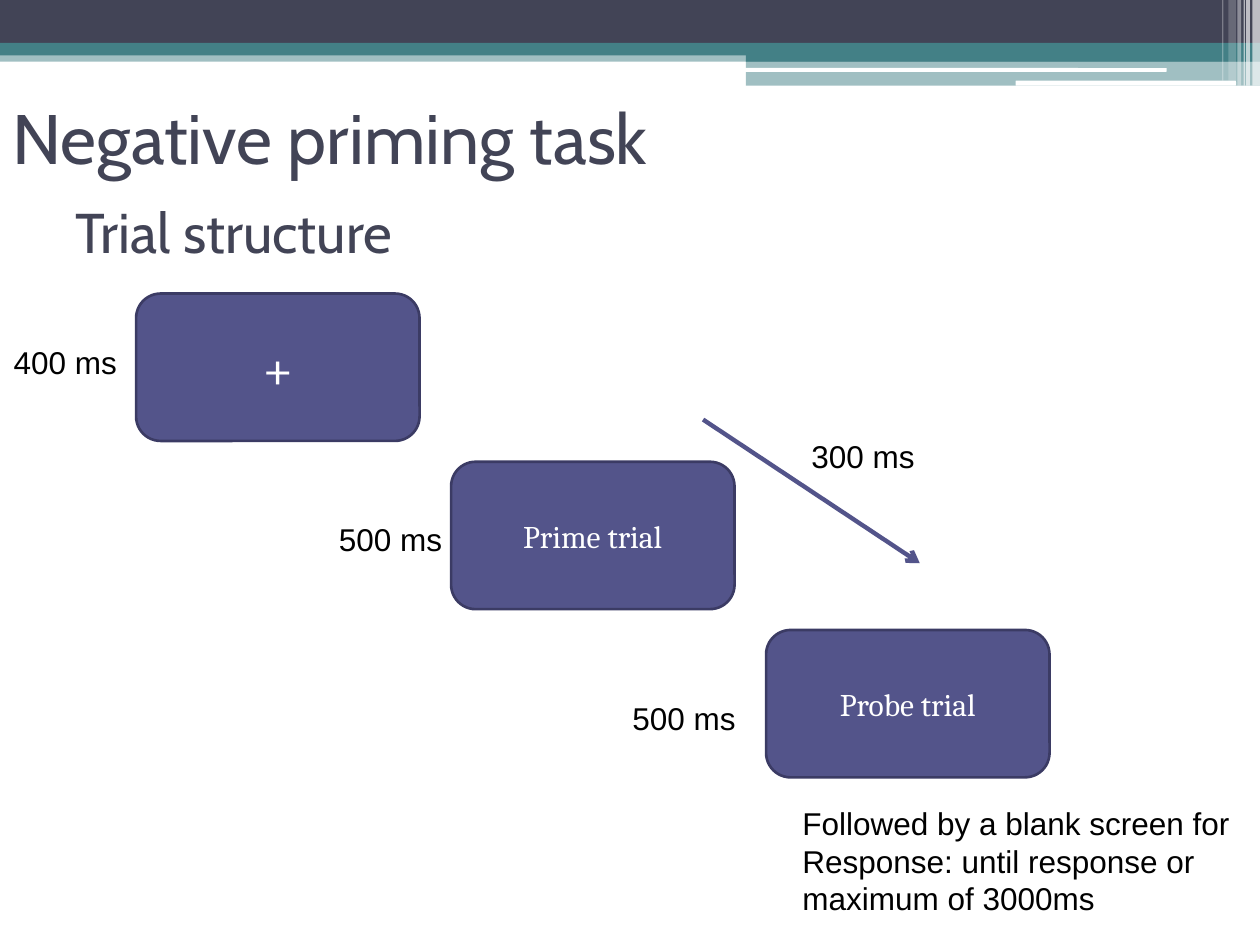
from lxml import etree
from pptx import Presentation
from pptx.dml.color import RGBColor
from pptx.enum.shapes import MSO_CONNECTOR as Connector, MSO_SHAPE as Shape
from pptx.enum.text import MSO_ANCHOR as Anchor, MSO_AUTO_SIZE as AutoSize, PP_ALIGN as Align
from pptx.oxml.ns import qn
from pptx.util import Inches, Pt

NAVY, TEAL, WHITE = "424456", "438086", "FFFFFF"
PURPLE, OUTLINE = "53548A", "3B3B64"


def write(box, text, font="Arial", size=18, color="000000", align=Align.LEFT,
          anchor=Anchor.TOP, wrap=False):
    frame = box.text_frame
    frame.text = text
    frame.word_wrap = wrap
    frame.auto_size = AutoSize.NONE if wrap else AutoSize.SHAPE_TO_FIT_TEXT
    frame.vertical_anchor = anchor
    frame.margin_left = frame.margin_right = Inches(0.1)
    frame.margin_top = frame.margin_bottom = Inches(0.05)
    for para in frame.paragraphs:
        para.alignment = align
        para.font.name = font
        para.font.size = Pt(size)
        para.font.color.rgb = RGBColor.from_string(color)


def add_block(kind, place, color, opacity=100):
    block = page.shapes.add_shape(kind, *map(Inches, place))
    block.shadow.inherit = False
    block.fill.solid()
    block.fill.fore_color.rgb = RGBColor.from_string(color)
    block.line.fill.background()
    if opacity < 100:
        tint = block.fill._xPr.find(qn("a:solidFill"))[0]
        etree.SubElement(tint, qn("a:alpha"), val=str(opacity * 1000))
    return block


deck = Presentation()
deck.slide_width, deck.slide_height = Inches(10), Inches(7.5)
page = deck.slides.add_slide(deck.slide_layouts[5])

# Header bands
for place, color, opacity in [
    ((0, 0.4, 10, 0.09), TEAL, 50),
    ((0, 0, 10, 0.34), NAVY, 100),
    ((0, 0.34, 10, 0.1), TEAL, 100),
    ((5.92, 0.39, 4.08, 0.1), TEAL, 100),
    ((5.92, 0.48, 4.08, 0.2), TEAL, 50),
]:
    add_block(Shape.RECTANGLE, place, color, opacity)
for place in [(5.91, 0.54, 3.35, 0.03), (8.06, 0.64, 1.75, 0.04)]:
    add_block(Shape.ROUNDED_RECTANGLE, place, WHITE)

# Pale stripes at the right edge
for left, width, height, opacity in [
    (9.94, 0.06, 0.68, 65), (9.89, 0.03, 0.68, 65), (9.87, 0.01, 0.68, 60),
    (9.82, 0.03, 0.68, 40), (9.75, 0.06, 0.64, 20), (9.7, 0.01, 0.64, 30),
]:
    add_block(Shape.RECTANGLE, (left, 0, width, height), WHITE, opacity)

# Headings
title = page.shapes.title
title.left, title.top, title.width, title.height = map(Inches, (0.5, 1.25, 9, 1.17))
heading = page.shapes.add_textbox(*map(Inches, (0, 0.5, 9, 1.17)))
for box, text, size in [(title, "Trial structure", 32), (heading, "Negative priming task", 40)]:
    write(box, text, font="Cabin", size=size, color=NAVY, anchor=Anchor.MIDDLE, wrap=True)

# Trial screens step down to the right
for step, (text, size) in enumerate([("+", 32), ("Prime trial", 18), ("Probe trial", 18)]):
    place = (1.08 + 2.5 * step, 2.33 + 1.335 * step, 2.25, 1.17)
    screen = add_block(Shape.ROUNDED_RECTANGLE, place, PURPLE)
    screen.line.color.rgb = RGBColor.from_string(OUTLINE)
    screen.line.width = Pt(1.5)
    write(screen, text, font="Cambria", size=size, color=WHITE,
          align=Align.CENTER, anchor=Anchor.MIDDLE, wrap=True)

# Durations and closing note
note = "Followed by a blank screen for\nResponse: until response or\nmaximum of 3000ms"
for text, place in [
    ("400 ms", (0.01, 2.67, 1.02, 0.4)),
    ("500 ms", (2.59, 4.08, 1.02, 0.4)),
    ("500 ms", (4.92, 5.5, 1.02, 0.4)),
    ("300 ms", (6.34, 3.42, 1.02, 0.4)),
    (note, (6.27, 6.33, 3.66, 1)),
]:
    write(page.shapes.add_textbox(*map(Inches, place)), text)

# Time arrow
arrow = page.shapes.add_connector(Connector.STRAIGHT, *map(Inches, (5.58, 3.33, 7.3, 4.47)))
arrow.line.color.rgb = RGBColor.from_string(PURPLE)
arrow.line.width = Pt(2.5)
etree.SubElement(arrow.line._get_or_add_ln(), qn("a:tailEnd"), type="arrow")
etree.SubElement(arrow._element.spPr, qn("a:effectLst"))

deck.save("out.pptx")
